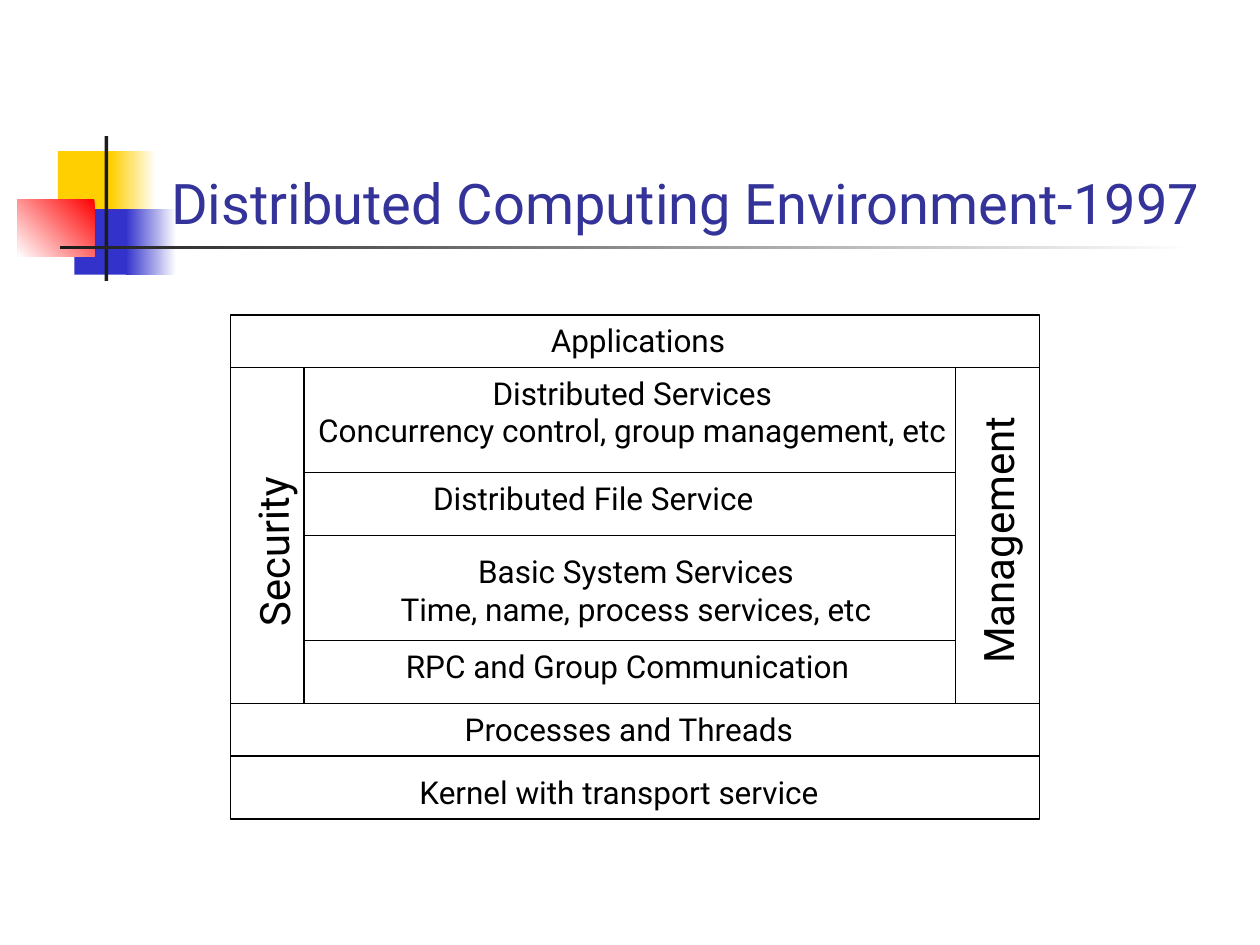
from dataclasses import dataclass
from lxml.etree import SubElement
from pptx import Presentation
from pptx.dml.color import RGBColor
from pptx.enum.shapes import MSO_CONNECTOR, MSO_SHAPE
from pptx.enum.text import MSO_ANCHOR, PP_ALIGN
from pptx.oxml.ns import qn
from pptx.util import Inches, Pt


@dataclass(frozen=True)
class Theme:
    font: str = "Roboto"
    title: str = "333399"
    ink: str = "000000"
    bar: str = "1C1C1C"
    gold: str = "FFCF01"
    blue: str = "3333CC"
    red: str = "FF0000"
    white: str = "FFFFFF"
    head: int = 32
    side: int = 24
    body: int = 18
    rule: float = 0.75


@dataclass(frozen=True)
class Box:
    left: float
    top: float
    width: float
    height: float
    cols: int
    rows: int

    def x(self, col):
        return Inches(self.left + self.width * col / self.cols)

    def y(self, row):
        return Inches(self.top + self.height * row / self.rows)

    def area(self, col, row, wide, high):
        left, top = self.x(col), self.y(row)
        return left, top, self.x(col + wide) - left, self.y(row + high) - top


THEME = Theme()


def color(name):
    return RGBColor.from_string(getattr(THEME, name))


def apply(item, values):
    for name, value in values.items():
        setattr(item, name, value)


def add_rect(slide, area):
    shape = slide.shapes.add_shape(MSO_SHAPE.RECTANGLE, *area)
    shape.shadow.inherit = False
    return shape


def add_block(slide, area, tones, angle=180):
    shape = add_rect(slide, area)
    shape.line.fill.background()
    if len(tones) == 1:
        shape.fill.solid()
        shape.fill.fore_color.rgb = color(tones[0])
        return
    shape.fill.gradient()
    shape.fill.gradient_angle = angle
    for stop, tone in zip(shape.fill.gradient_stops, tones):
        stop.color.rgb = color(tone)


def add_text(slide, area, lines, size, tone="ink", align=PP_ALIGN.LEFT,
             anchor=MSO_ANCHOR.TOP, turn=0):
    shape = slide.shapes.add_textbox(*area)
    shape.rotation = turn
    frame = shape.text_frame
    apply(frame, {"word_wrap": True, "vertical_anchor": anchor, "text": "\n".join(lines)})
    for para in frame.paragraphs:
        para.alignment = align
        apply(para.font, {"name": THEME.font, "size": Pt(size)})
        para.font.color.rgb = color(tone)


def add_rule(slide, box, start, end):
    line = slide.shapes.add_connector(
        MSO_CONNECTOR.STRAIGHT, box.x(start[0]), box.y(start[1]), box.x(end[0]), box.y(end[1]))
    apply(line.line, {"width": Pt(THEME.rule)})
    line.line.color.rgb = color("ink")
    SubElement(line._element.spPr, qn("a:effectLst"))


def draw_header(slide, box):
    blocks = [
        ((4.6, 12, 4.8, 5.2), ["gold"], 180),
        ((8.8, 12, 3.6, 5.2), ["white", "gold"], 180),
        ((5.9, 16.6, 4.6, 5.2), ["blue"], 180),
        ((10, 16.6, 4, 5.2), ["white", "blue"], 180),
        ((1.4, 15.8, 6.1, 4.6), ["red", "white"], 225),
        ((8.3, 10.8, 0.3, 11.5), ["bar"], 180),
        ((4.8, 19.5, 90, 0.3), ["white", "bar"], 180),
    ]
    for cell, tones, angle in blocks:
        add_block(slide, box.area(*cell), tones, angle)
    add_text(slide, box.area(12.6, 6.7, 85.2, 12.5), ["Distributed Computing Environment-1997"],
             THEME.head, "title", anchor=MSO_ANCHOR.BOTTOM)


def draw_stack(slide, box):
    outer = add_rect(slide, box.area(0, 0, box.cols, box.rows))
    outer.fill.background()
    apply(outer.line, {"width": Pt(THEME.rule)})
    outer.line.color.rgb = color("ink")

    west, east, first, last = 7, 69, 5, 37
    for row in (first, last, 42):
        add_rule(slide, box, (0, row), (box.cols, row))
    for row in (15, 21, 31):
        add_rule(slide, box, (west, row), (east, row))
    for col in (west, east):
        add_rule(slide, box, (col, first), (col, last))

    layers = [
        (29.3, 0, 19.6, ["Applications"]),
        (4.9, 5, 66.7, ["Distributed Services", "Concurrency control, group management, etc"]),
        (18.1, 15, 34.6, ["Distributed File Service"]),
        (14, 22, 49.2, ["Basic System Services", "Time, name, process services, etc"]),
        (15.5, 31, 47, ["RPC and Group Communication"]),
        (21.1, 37, 34.7, ["Processes and Threads"]),
        (16.8, 43, 43, ["Kernel with transport service"]),
    ]
    for col, row, wide, lines in layers:
        align = PP_ALIGN.CENTER if len(lines) > 1 else PP_ALIGN.LEFT
        add_text(slide, box.area(col, row, wide, 4.8 * len(lines)), lines, THEME.body, align=align)

    sides = [(-4.7, 19.2, 17.4, "Security", 269.2), (59.2, 17.6, 27.6, "Management", 270)]
    for col, row, wide, label, turn in sides:
        add_text(slide, box.area(col, row, wide, 6), [label], THEME.side, turn=turn)


def main():
    deck = Presentation()
    apply(deck, {"slide_width": Inches(10), "slide_height": Inches(7.5)})
    slide = deck.slides.add_slide(deck.slide_layouts[6])
    draw_header(slide, Box(0, 0, 10, 2.5, 100, 25))
    draw_stack(slide, Box(1.83, 2.5, 6.42, 4, 77, 48))
    deck.save("out.pptx")


if __name__ == "__main__":
    main()
